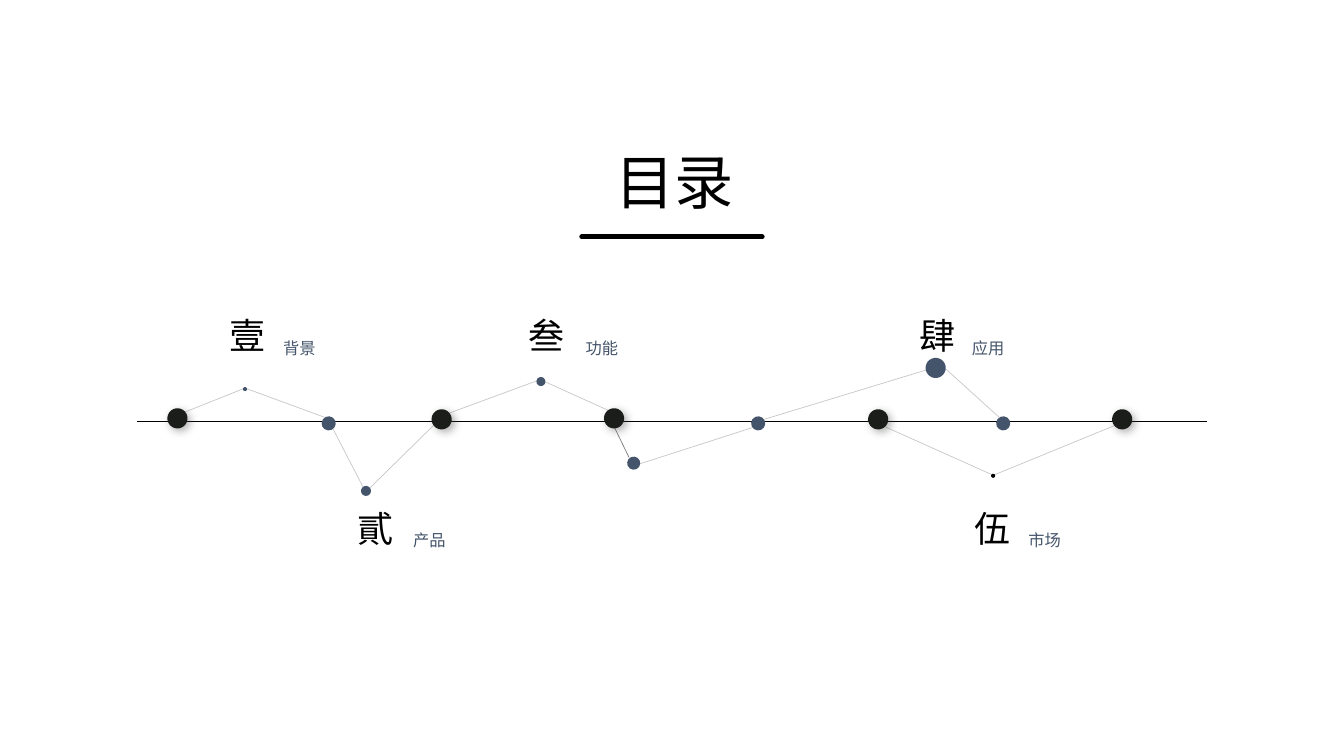
from lxml import etree
from pptx import Presentation
from pptx.dml.color import RGBColor
from pptx.enum.shapes import MSO_CONNECTOR as CONN, MSO_SHAPE as SHAPE
from pptx.enum.text import MSO_ANCHOR as ANCHOR, PP_ALIGN as ALIGN
from pptx.oxml import parse_xml
from pptx.oxml.ns import nsdecls, qn
from pptx.util import Inches, Pt

COLORS = {"black": "000000", "slate": "44546A", "ink": "1A1D1A", "shadow": "404040"}
FONT = "Noto Sans CJK SC"
CELL = Inches(0.01)
COLS, ROWS = 1333, 750

prs = Presentation()
prs.slide_width, prs.slide_height = COLS * CELL, ROWS * CELL
s = prs.slides.add_slide(prs.slide_layouts[6])


def add_line(x1, y1, x2, y2, width, opacity=100):
    c = s.shapes.add_connector(CONN.STRAIGHT, *(v * CELL for v in (x1, y1, x2, y2)))
    c.line.width = Pt(width)
    c.line.color.rgb = RGBColor.from_string(COLORS["black"])
    etree.SubElement(c._element.spPr, qn("a:effectLst"))
    if opacity < 100:
        color = c._element.spPr.find(".//" + qn("a:srgbClr"))
        etree.SubElement(color, qn("a:alpha")).set("val", str(opacity * 1000))
    return c


def add_text(text, x, y, w, h, size, color, align=ALIGN.LEFT):
    tf = s.shapes.add_textbox(*(v * CELL for v in (x, y, w, h))).text_frame
    tf.text = text
    tf.word_wrap = False
    tf.vertical_anchor = ANCHOR.MIDDLE
    tf.margin_top = tf.margin_bottom = 0
    p = tf.paragraphs[0]
    p.alignment = align
    r = p.runs[0]
    r.font.size = Pt(size)
    r.font.name = FONT
    r.font.color.rgb = RGBColor.from_string(COLORS[color])
    etree.SubElement(r._r.get_or_add_rPr(), qn("a:ea")).set("typeface", FONT)


add_text("目录", 601, 139, 139, 81, 42.3, "black")
underline = add_line(577, 235, 756, 235, 3.5)
underline.line._get_or_add_ln().set("cap", "rnd")
add_line(136, 418, 1197, 418, 0.75)

links = [
    (183, 409, 243, 385, 21), (243, 385, 322, 414, 21),
    (330, 425, 360, 483, 21), (367, 484, 430, 422, 21),
    (445, 410, 532, 378, 21), (603, 407, 539, 378, 21),
    (606, 417, 624, 454, 51), (747, 424, 635, 460, 21),
    (919, 367, 758, 416, 21), (991, 414, 938, 366, 21),
    (984, 471, 877, 423, 21), (1106, 422, 984, 472, 21),
]
for *ends, opacity in links:
    add_line(*ends, 0.5, opacity)

dots = [
    (166, 405, 20, "ink"), (428, 406, 20, "ink"), (599, 405, 20, "ink"),
    (861, 406, 20, "ink"), (1103, 406, 20, "ink"),
    (319, 413, 14, "slate"), (745, 413, 14, "slate"), (988, 413, 14, "slate"),
    (358, 482, 10, "slate"), (532, 374, 9, "slate"), (622, 453, 13, "slate"),
    (918, 355, 20, "slate"), (241, 384, 4, "slate"), (983, 470, 4, "black"),
]
for x, y, size, color in dots:
    dot = s.shapes.add_shape(SHAPE.OVAL, x * CELL, y * CELL, size * CELL, size * CELL)
    dot.rotation = 186.2
    dot.fill.solid()
    dot.fill.fore_color.rgb = RGBColor.from_string(COLORS[color])
    dot.line.fill.background()
    dot.shadow.inherit = False
    if color == "ink":
        effects = dot._element.spPr.find(qn("a:effectLst"))
        effects.append(parse_xml(
            f'<a:outerShdw {nsdecls("a")} blurRad="{Pt(6)}" dist="{Pt(3)}" '
            f'dir="{45 * 60000}" algn="tl" rotWithShape="0">'
            f'<a:srgbClr val="{COLORS["shadow"]}"><a:alpha val="40000"/></a:srgbClr>'
            '</a:outerShdw>'))

UPPER, LOWER = 306, 497
chapters = [
    ("壹", 217, "背景", 271, UPPER), ("貳", 344, "产品", 400, LOWER),
    ("叁", 514, "功能", 571, UPPER), ("肆", 902, "应用", 954, UPPER),
    ("伍", 956, "市场", 1010, LOWER),
]
for numeral, numeral_x, label, label_x, y in chapters:
    add_text(numeral, numeral_x, y, 56, 53, 25.7, "black", ALIGN.CENTER)
    add_text(label, label_x, y + 24, 52, 30, 11.6, "slate")

prs.save("out.pptx")
